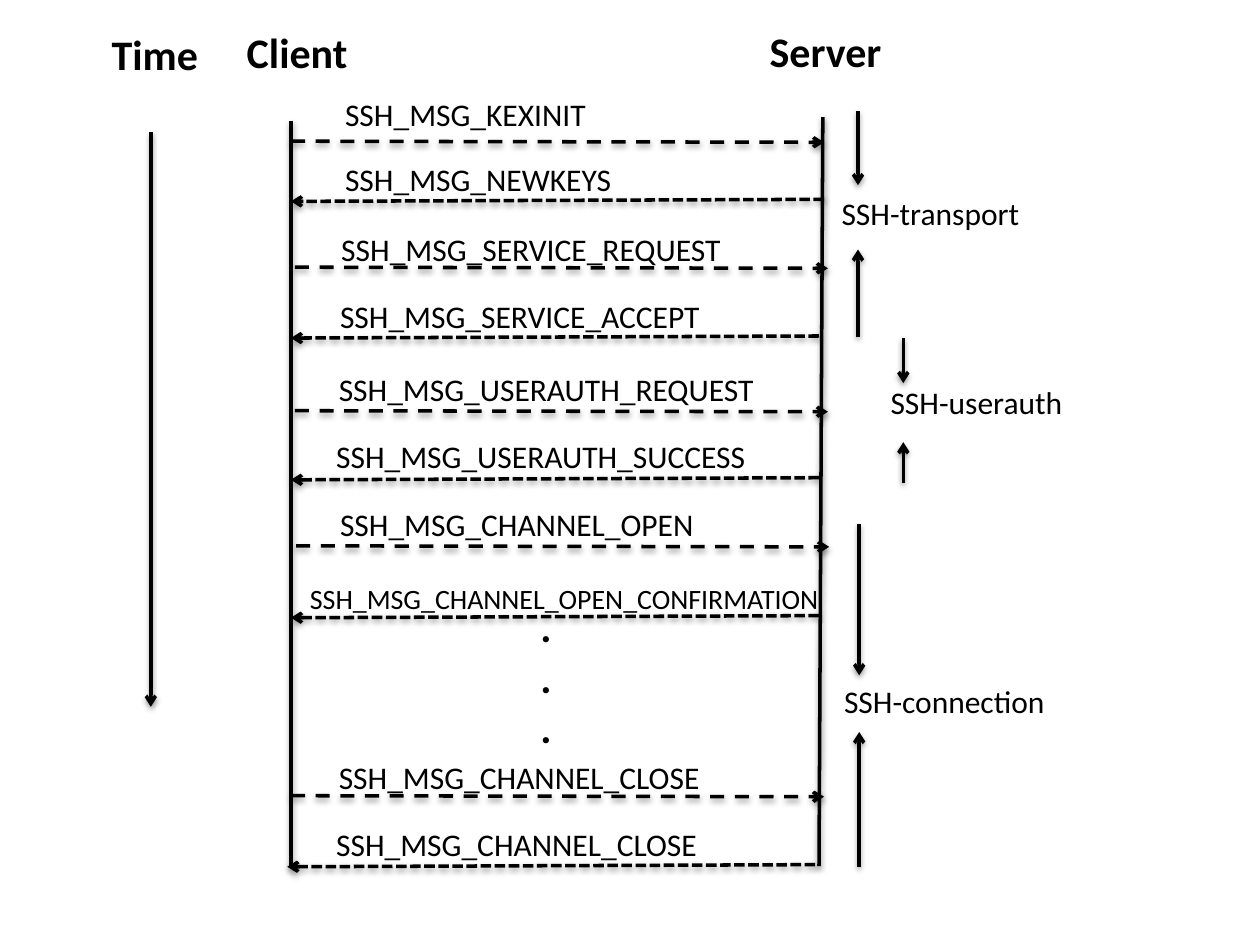
from pptx import Presentation
from pptx import util as u
from pptx.dml import color
from pptx.enum import dml, shapes, text
from pptx.oxml import parse_xml
from pptx.oxml.ns import nsdecls, qn

INK = "000000"
LABEL_WIDTH = 300
SHADOW = (
    f'<a:effectLst {nsdecls("a")}>'
    '<a:outerShdw blurRad="39370" dist="20320" dir="5400000" rotWithShape="0">'
    f'<a:srgbClr val="{INK}"><a:alpha val="38000"/></a:srgbClr>'
    '</a:outerShdw></a:effectLst>'
)
ARROWHEAD = f'<a:tailEnd {nsdecls("a")} type="arrow"/>'

MESSAGES = [
    ("SSH_MSG_KEXINIT", 23.8, -16, 0, 304.6, 14, 18),
    ("SSH_MSG_NEWKEYS", 23.8, 20.8, 304.6, 0, 47.5, 18),
    ("SSH_MSG_SERVICE_REQUEST", 21.6, 61, 2.2, 306.8, 86, 18),
    ("SSH_MSG_SERVICE_ACCEPT", 20.9, 99.3, 301.7, 0, 125.6, 18),
    ("SSH_MSG_USERAUTH_REQUEST", 20.2, 141, 2.2, 306.8, 168, 18),
    ("SSH_MSG_USERAUTH_SUCCESS", 18.7, 179.2, 301.7, 0, 206.6, 18),
    ("SSH_MSG_CHANNEL_OPEN", 20.9, 218, 2.9, 307.5, 245.2, 18),
    ("SSH_MSG_CHANNEL_OPEN_CONFIRMATION", 3.7, 262, 301.7, 0, 285.4, 16),
    ("SSH_MSG_CHANNEL_CLOSE", 20.2, 362.8, 0, 304.6, 388, 18),
    ("SSH_MSG_CHANNEL_CLOSE", 18.7, 401, 299.5, -2.1, 427.7, 18),
]

PHASES = [
    ("SSH-transport", 490.3, 63.4, 129, -16.5, 43.9, 42.4, 79.2),
    ("SSH-userauth", 516.2, 193, 82.8, -14.4, 22.3, 25.9, 59.7),
    ("SSH-connection", 491, 299.5, 195.9, -15.8, 86.4, 86.4, 118.8),
]


def rgb(value):
    return color.RGBColor.from_string(value)


def add_text(page, lines, left, top, width, height, size=18, bold=False):
    box = page.shapes.add_textbox(u.Pt(left), u.Pt(top), u.Pt(width), u.Pt(height))
    frame = box.text_frame
    frame.word_wrap = True
    frame.auto_size = text.MSO_AUTO_SIZE.SHAPE_TO_FIT_TEXT
    frame.text = "\n".join(lines)
    for para in frame.paragraphs:
        para.font.name = "Calibri"
        para.font.size = u.Pt(size)
        para.font.bold = bold
        para.font.color.rgb = rgb(INK)


def add_line(page, start, end, arrow=True, dash=None):
    line = page.shapes.add_connector(
        shapes.MSO_CONNECTOR.STRAIGHT, *(u.Pt(value) for value in (*start, *end))
    )
    line.line.color.rgb = rgb(INK)
    line.line.width = u.Pt(2)
    if dash is not None:
        line.line.dash_style = dash
    properties = line.element.spPr
    if arrow:
        properties.find(qn("a:ln")).append(parse_xml(ARROWHEAD))
    properties.append(parse_xml(SHADOW))


def add_heading(page, label, left, top):
    add_text(page, [label], left, top, 229, 36, 24, True)


def add_timeline(page, left, top, height):
    add_heading(page, "Time", left - 29.5, top - 62.6)
    add_line(page, (left, top), (left, top + height))


def add_lifelines(page, left, top, width, height):
    add_heading(page, "Client", left - 32.4, top - 55.5)
    add_heading(page, "Server", left + width - 37.5, top - 56.2)
    add_line(page, (left, top + 2), (left, top + height), arrow=False)
    add_line(page, (left + width, top), (left + width - 2.2, top + height), arrow=False)


def add_messages(page, left, top):
    for label, label_x, label_y, start, end, y, size in MESSAGES:
        request = start < end
        dash = dml.MSO_LINE.DASH if request else dml.MSO_LINE.SQUARE_DOT
        half_drop = 0.3 if request else 0.6
        add_line(
            page,
            (left + start, top + y - half_drop),
            (left + end, top + y + half_drop),
            dash=dash,
        )
        width = LABEL_WIDTH if size == 18 else 311
        add_text(page, [label], left + label_x, top + label_y, width, 29, size)
    add_text(page, ["."] * 3, left + 135.4, top + 272.8, 39, 152.6, 24, True)


def add_phase(page, label, left, top, height, label_x, label_y, down_end, up_end):
    add_line(page, (left, top), (left, top + down_end))
    add_line(page, (left, top + height), (left, top + up_end))
    add_text(page, [label], left + label_x, top + label_y, LABEL_WIDTH, 29)


def main():
    deck = Presentation()
    deck.slide_width = u.Pt(720)
    deck.slide_height = u.Pt(540)
    page = deck.slides.add_slide(deck.slide_layouts[6])
    add_timeline(page, 86.2, 75.6, 328.3)
    add_lifelines(page, 166.3, 67, 303.9, 428)
    add_messages(page, 166.3, 67)
    for phase in PHASES:
        add_phase(page, *phase)
    deck.save("out.pptx")


if __name__ == "__main__":
    main()
